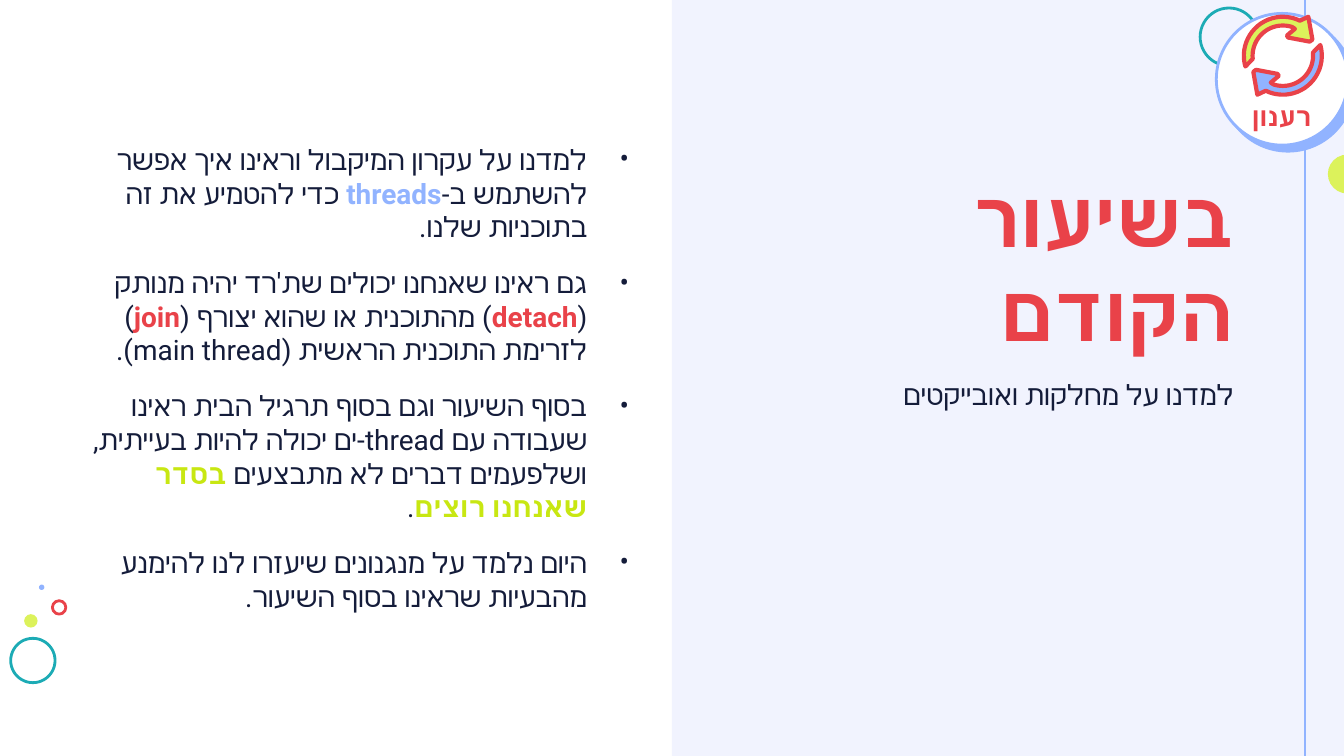
import math
import lxml.etree
import pptx
import pptx.dml.color
import pptx.enum.shapes
import pptx.enum.text
import pptx.oxml.ns
import pptx.util

colour = pptx.dml.color.RGBColor.from_string
qn = pptx.oxml.ns.qn
Align = pptx.enum.text.PP_ALIGN
Anchor = pptx.enum.text.MSO_ANCHOR
Preset = pptx.enum.shapes.MSO_SHAPE
RED, BLUE, TEAL, LIME, NAVY = "E94249", "91B3FF", "1CABB5", "DCF25B", "141C3A"

deck = pptx.Presentation()
deck.slide_width = pptx.util.Inches(10)
deck.slide_height = pptx.util.Inches(5.625)
page = deck.slides.add_slide(deck.slide_layouts[6])
cell = deck.slide_width / 100  # square grid: 100 columns, 56.25 rows


def paint(shape, fill=None, line=None, weight=1.5):
    shape.shadow.inherit = False
    if fill:
        shape.fill.solid()
        shape.fill.fore_color.rgb = colour(fill)
    else:
        shape.fill.background()
    if line:
        shape.line.color.rgb = colour(line)
        shape.line.width = pptx.util.Pt(weight)
    else:
        shape.line.fill.background()


def write(place, paragraphs, size, tint, anchor, align=Align.RIGHT, bold=False, bullet=False):
    """Add a right-to-left text box; each paragraph is a list of (text, accent colour)."""
    box = page.shapes.add_textbox(*(round(n * cell) for n in place))
    frame = box.text_frame
    frame.word_wrap = True
    frame.vertical_anchor = anchor
    frame.margin_left = frame.margin_right = frame.margin_top = frame.margin_bottom = 0
    for number, spans in enumerate(paragraphs):
        paragraph = frame.add_paragraph() if number else frame.paragraphs[0]
        paragraph.alignment = align
        properties = paragraph._p.get_or_add_pPr()
        properties.set("rtl", "1")
        if bullet:
            indent = round(3.1 * cell)
            properties.set("marL", str(indent))
            properties.set("indent", str(-indent))
            if number:
                paragraph.space_before = pptx.util.Pt(12)
            bullet_colour = lxml.etree.SubElement(properties, qn("a:buClr"))
            lxml.etree.SubElement(bullet_colour, qn("a:srgbClr"), val=tint)
            lxml.etree.SubElement(properties, qn("a:buFont"), typeface="Roboto")
            lxml.etree.SubElement(properties, qn("a:buChar"), char="•")
        font = paragraph.font
        font.size = pptx.util.Pt(size)
        font.bold = bold
        font.color.rgb = colour(tint)
        font.name = "Roboto"
        defaults = properties.find(qn("a:defRPr"))
        lxml.etree.SubElement(defaults, qn("a:cs"), typeface="Roboto")
        for text, accent in spans:
            span = paragraph.add_run()
            span.text = text
            if accent:
                span.font.bold = True
                span.font.color.rgb = colour(accent)
    return box


# Right panel, margin line and circles, from back to front
panel = page.shapes.add_shape(
    Preset.RECTANGLE, deck.slide_width // 2, 0, deck.slide_width // 2, deck.slide_height)
paint(panel, "F1F3FE")

circles = [  # left, top, diameter, fill, line
    (89.3, 0.6, 4.3, None, TEAL),
    (90.5, 1, 9.8, "FFFFFF", BLUE),
    (0.8, 47.5, 3.3, None, TEAL),
    (98.8, 11.5, 2.9, LIME, None),
    (1.8, 45.7, 1, LIME, None),
    (3.9, 44.7, 1, None, RED),
    (2.9, 43.5, 0.4, BLUE, None),
]
for left, top, diameter, fill, line in circles:
    if fill == "FFFFFF":
        margin_x = round(97.1 * cell)
        margin = page.shapes.add_connector(
            pptx.enum.shapes.MSO_CONNECTOR.STRAIGHT, margin_x, 0, margin_x, deck.slide_height)
        margin.line.color.rgb = colour(BLUE)
        margin.line.width = pptx.util.Pt(1.5)
        lxml.etree.SubElement(margin._element.spPr, qn("a:effectLst"))
    circle = page.shapes.add_shape(
        Preset.OVAL, *(round(n * cell) for n in (left, top, diameter, diameter)))
    paint(circle, fill, line)
    if fill == "FFFFFF":
        effects = circle._element.spPr.find(qn("a:effectLst"))
        shadow = lxml.etree.SubElement(
            effects, qn("a:outerShdw"), blurRad="0", dist=str(pptx.util.Pt(4.5)),
            dir=str(46 * 60000), algn="bl", rotWithShape="0")
        lxml.etree.SubElement(shadow, qn("a:srgbClr"), val=BLUE)

# Texts
write((54.9, 10.9, 36.9, 15.7), [[("בשיעור הקודם", None)]], 42, RED, Anchor.BOTTOM, bold=True)
write((54.9, 28.1, 36.9, 22.8), [[("למדנו על מחלקות ואובייקטים", None)]], 15, NAVY, Anchor.TOP)
recap = [
    [("למדנו על עקרון המיקבול וראינו איך אפשר להשתמש ב-", None), ("threads", BLUE),
     (" כדי להטמיע את זה בתוכניות שלנו.", None)],
    [("גם ראינו שאנחנו יכולים שת'רד יהיה מנותק (", None), ("detach", RED),
     (") מהתוכנית או שהוא יצורף (", None), ("join", RED),
     (") לזרימת התוכנית הראשית (main thread).", None)],
    [("בסוף השיעור וגם בסוף תרגיל הבית ראינו שעבודה עם thread-ים יכולה להיות בעייתית, "
      "ושלפעמים דברים לא מתבצעים ", None), ("בסדר שאנחנו רוצים", "C8E712"), (".", None)],
    [("היום נלמד על מנגנונים שיעזרו לנו להימנע מהבעיות שראינו בסוף השיעור.", None)],
]
body = write((5.9, 5.9, 40.9, 44.4), recap, 15, NAVY, Anchor.MIDDLE, bullet=True)
body.text_frame.paragraphs[-1].space_after = pptx.util.Pt(12)
badge = write((91.4, 6.5, 7.9, 3.3), [[("רענון", None)]], 14, RED, Anchor.BOTTOM,
              Align.CENTER, bold=True)
badge.text_frame.paragraphs[0].line_spacing = 0.8

# Refresh icon: one arrow around its centre, then the same arrow turned by half
outer = [(2.9 * math.cos(math.radians(a)), -2.9 * math.sin(math.radians(a)))
         for a in range(196, 62, -6)]
inner = [(2.25 * math.cos(math.radians(a)), -2.25 * math.sin(math.radians(a)))
         for a in range(72, 190, 6)]
head = [(1.9, -2.9), (2.2, -1.2), (2, -1.05), (0.4, -1.35), (0.3, -1.5), (0.9, -2)]
for turn, fill in ((1, LIME), (-1, BLUE)):
    points = [(round((95.45 + turn * x) * cell), round((4.15 + turn * y) * cell))
              for x, y in outer + head + inner]
    builder = page.shapes.build_freeform(*points[0])
    builder.add_line_segments(points[1:], close=True)
    arrow = builder.convert_to_shape()
    paint(arrow, fill, RED, 2.25)
    lxml.etree.SubElement(arrow.line._get_or_add_ln(), qn("a:round"))

deck.save("out.pptx")
